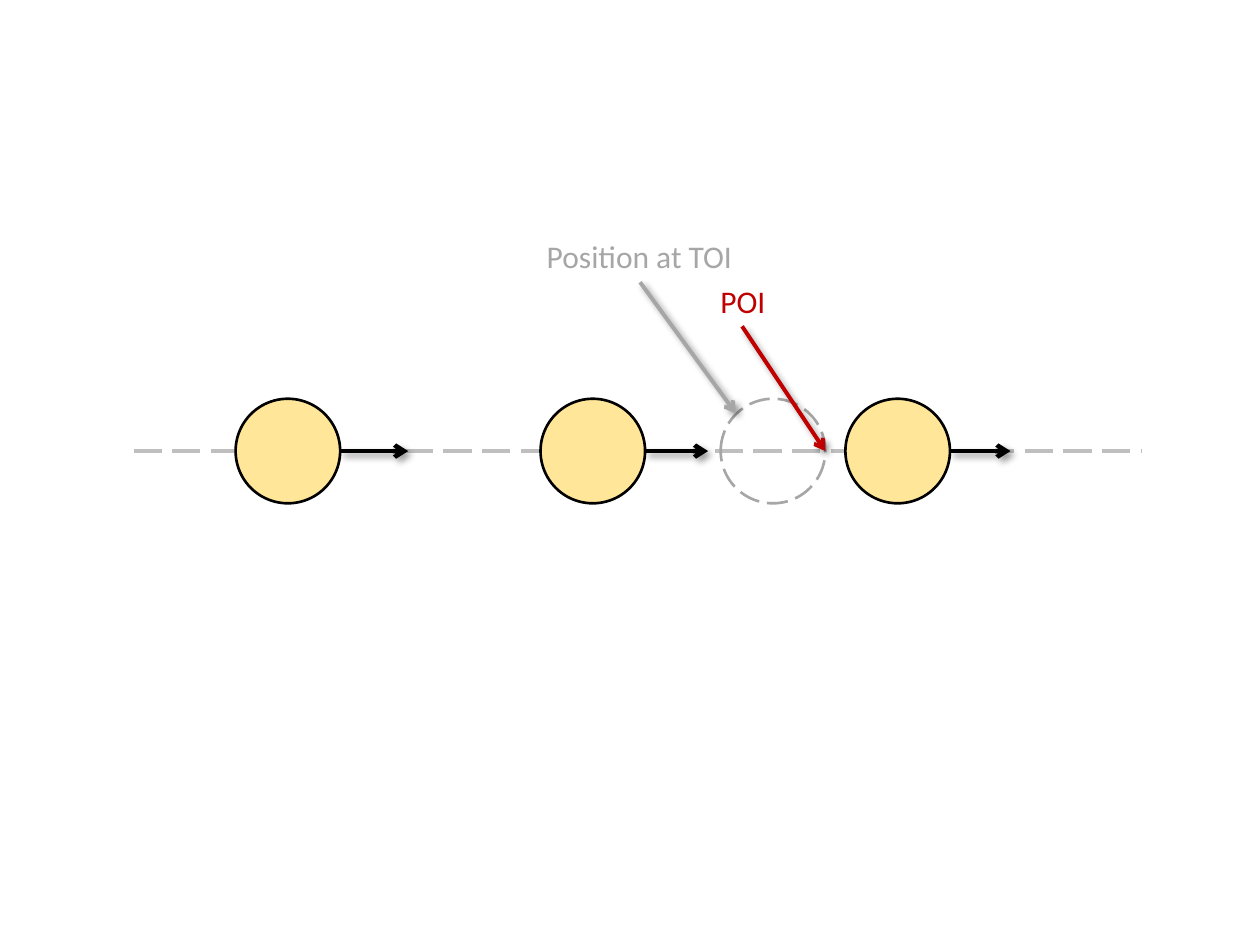
from lxml import etree
from pptx import Presentation
from pptx.dml.color import RGBColor
from pptx.enum.dml import MSO_LINE
from pptx.enum.shapes import MSO_CONNECTOR, MSO_SHAPE
from pptx.enum.text import MSO_AUTO_SIZE, PP_ALIGN
from pptx.oxml.ns import qn
from pptx.util import Inches, Pt

STRAIGHT = MSO_CONNECTOR.STRAIGHT
OVAL = MSO_SHAPE.OVAL
LONG_DASH = MSO_LINE.LONG_DASH
FIT_SHAPE = MSO_AUTO_SIZE.SHAPE_TO_FIT_TEXT
CENTER = PP_ALIGN.CENTER

BLACK, GRAY, RED = "000000", "A6A6A6", "C00000"
PATH_GRAY, BALL_YELLOW = "BFBFBF", "FFE699"
PATH_Y = 3.58
DIAMETER = 0.83
FIRST_BALL_LEFT, BALL_STEP = 1.87, 2.42
ARROW_ENDS = (3.24, 5.62, 8.02)


def color(value):
    return RGBColor.from_string(value)


def style_line(line, line_color, width, dash=None):
    line.color.rgb = color(line_color)
    line.width = Pt(width)
    if dash is not None:
        line.dash_style = dash


def add_line(slide, start, end, line_color, width, dash=None):
    """Add a straight line and return it with its empty effect list."""
    points = [Inches(value) for value in (*start, *end)]
    connector = slide.shapes.add_connector(STRAIGHT, *points)
    style_line(connector.line, line_color, width, dash)
    effects = etree.SubElement(connector._element.spPr, qn("a:effectLst"))
    return connector, effects


def add_arrow(slide, start, end, line_color, width):
    """Add a line with an open arrowhead and a soft shadow."""
    connector, effects = add_line(slide, start, end, line_color, width)
    etree.SubElement(connector.line._get_or_add_ln(), qn("a:tailEnd"), type="arrow")
    shadow = etree.SubElement(
        effects, qn("a:outerShdw"), blurRad=str(Pt(4)), dist=str(Pt(3)),
        dir=str(45 * 60000), algn="tl", rotWithShape="0")
    shade = etree.SubElement(shadow, qn("a:srgbClr"), val=BLACK)
    etree.SubElement(shade, qn("a:alpha"), val="40000")


def add_circle(slide, left, line_color, fill_color=None, dash=None):
    """Add a circle centred on the path, hollow without a fill colour."""
    circle = slide.shapes.add_shape(
        OVAL, Inches(left), Inches(PATH_Y - DIAMETER / 2),
        Inches(DIAMETER), Inches(DIAMETER))
    circle.shadow.inherit = False
    if fill_color:
        circle.fill.solid()
        circle.fill.fore_color.rgb = color(fill_color)
    else:
        circle.fill.background()
    style_line(circle.line, line_color, 1.5, dash)


def add_label(slide, text, left, top, width, text_color):
    box = slide.shapes.add_textbox(
        Inches(left), Inches(top), Inches(width), Inches(0.4))
    frame = box.text_frame
    frame.word_wrap = True
    frame.auto_size = FIT_SHAPE
    frame.text = text
    paragraph = frame.paragraphs[0]
    paragraph.alignment = CENTER
    font = paragraph.runs[0].font
    font.name = "Calibri"
    font.size = Pt(18)
    font.color.rgb = color(text_color)


def main():
    presentation = Presentation()
    presentation.slide_width = Inches(10)
    presentation.slide_height = Inches(7.5)
    slide = presentation.slides.add_slide(presentation.slide_layouts[6])

    add_line(slide, (1.06, PATH_Y), (9.06, PATH_Y), PATH_GRAY, 2, LONG_DASH)
    add_circle(slide, 5.72, GRAY, dash=LONG_DASH)
    add_label(slide, "POI", 5.4, 2.19, 0.99, RED)
    add_arrow(slide, (5.89, 2.59), (6.55, PATH_Y), RED, 2.25)

    for index, arrow_end in enumerate(ARROW_ENDS):
        left = FIRST_BALL_LEFT + index * BALL_STEP
        add_arrow(slide, (left + DIAMETER, PATH_Y), (arrow_end, PATH_Y), BLACK, 2.5)
        add_circle(slide, left, BLACK, BALL_YELLOW)

    add_label(slide, "Position at TOI", 3.76, 1.83, 2.63, GRAY)
    add_arrow(slide, (5.08, 2.24), (5.84, 3.28), GRAY, 2.25)
    presentation.save("out.pptx")


if __name__ == "__main__":
    main()
